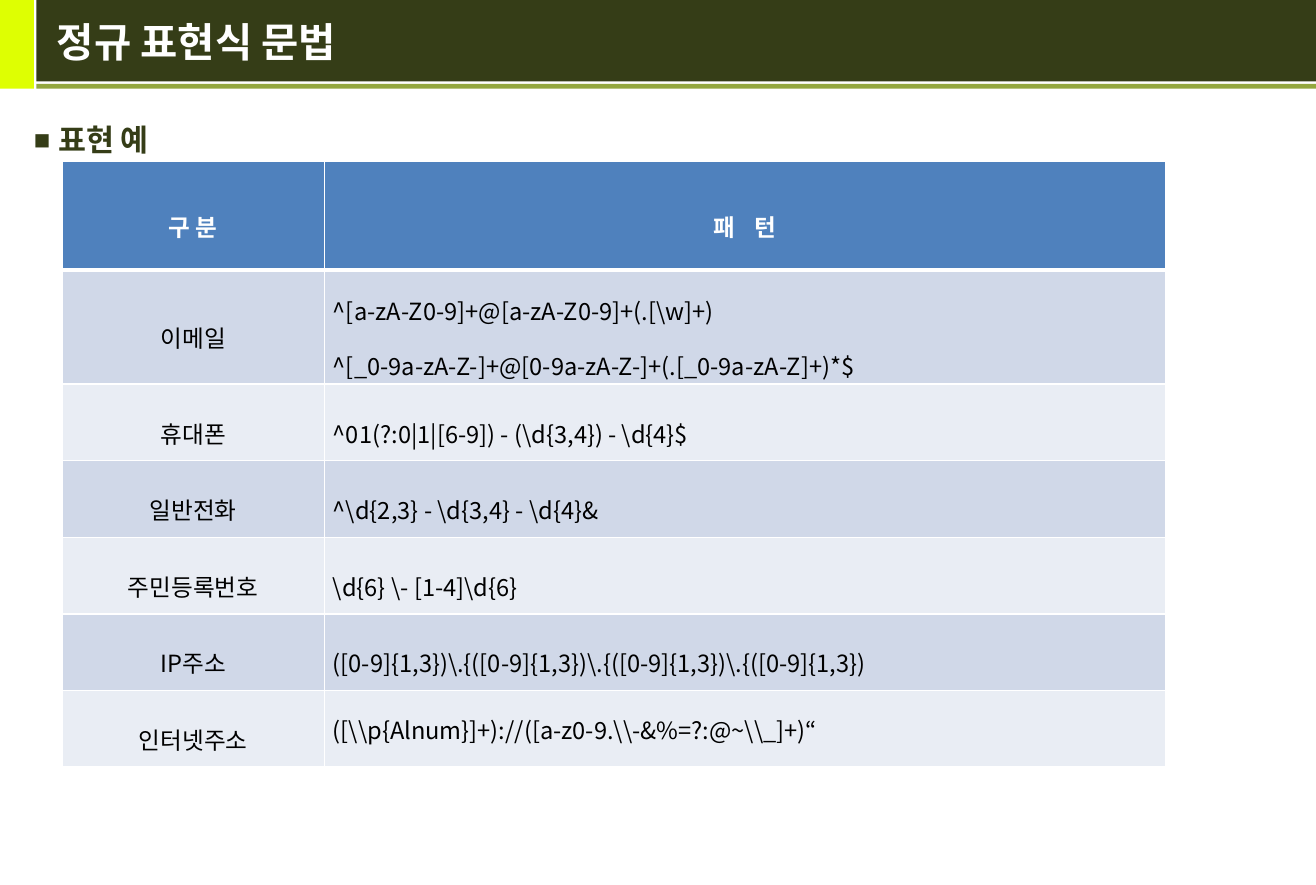
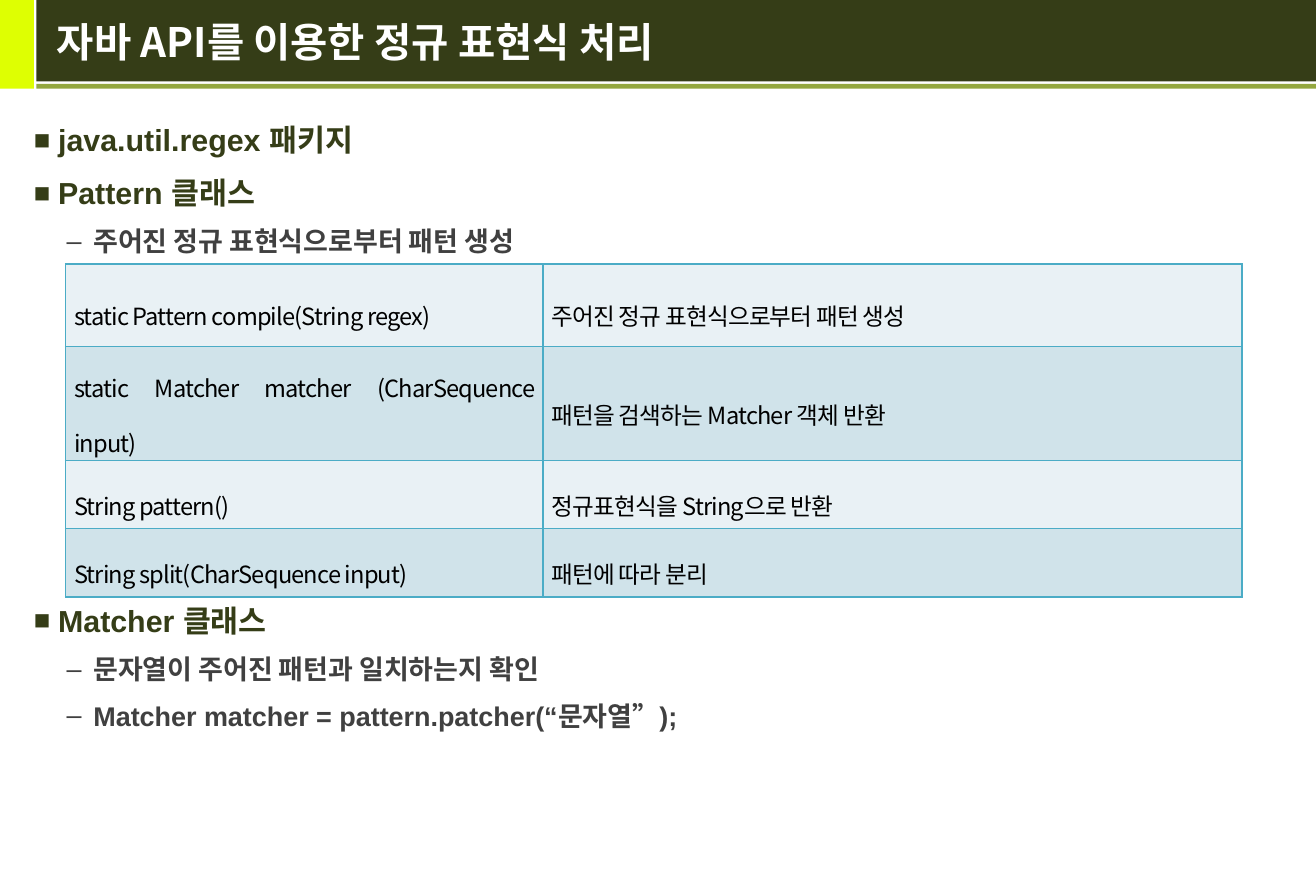
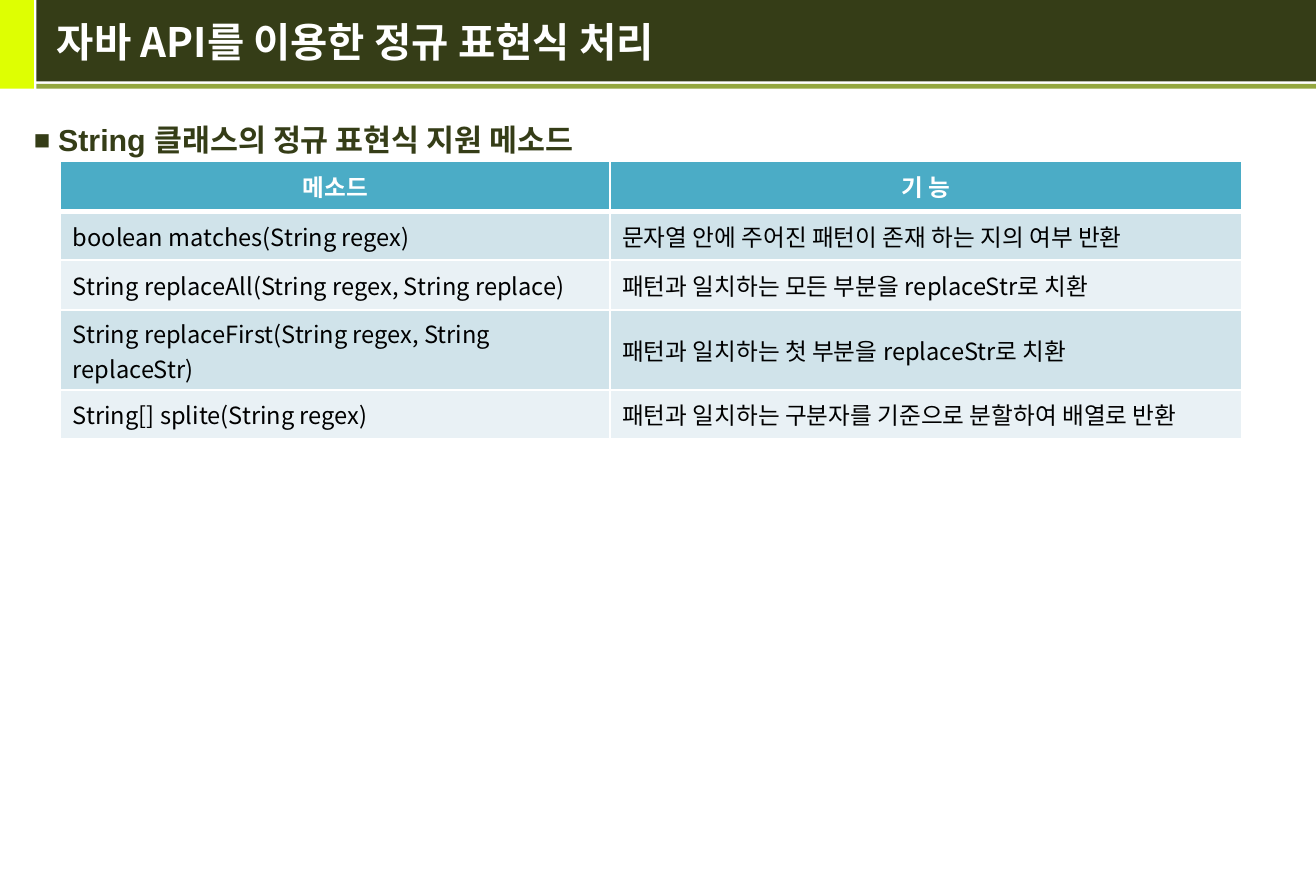
from dataclasses import dataclass
from typing import Any

from lxml.etree import SubElement
from pptx import Presentation
from pptx.dml.color import RGBColor
from pptx.enum.shapes import MSO_SHAPE as Preset
from pptx.enum.text import MSO_ANCHOR as Anchor, PP_ALIGN as Align
from pptx.oxml.ns import qn
from pptx.util import Inches, Pt


# Theme: colours, fonts and type sizes
@dataclass(frozen=True)
class Theme:
    lime: str = "DEFF02"
    olive: str = "353D17"
    moss: str = "93A73F"
    gray: str = "404040"
    white: str = "FFFFFF"
    black: str = "000000"
    blue: str = "4F81BD"
    blue_bands: tuple[str, str] = ("D0D8E8", "E9EDF4")
    teal: str = "4BACC6"
    teal_bands: tuple[str, str] = ("D0E3EA", "E9F1F5")
    korean_font: str = "Noto Sans CJK KR"
    body_font: str = "Arial"
    title_size: int = 24
    topic_size: int = 18
    detail_size: int = 16
    cell_size: int = 14


THEME = Theme()


@dataclass(frozen=True)
class Box:
    left: float
    top: float
    width: float
    height: float

    def emu(self) -> tuple[int, ...]:
        return tuple(Inches(v) for v in (self.left, self.top, self.width, self.height))


@dataclass(frozen=True)
class TextStyle:
    size: int
    color: str
    font: str = THEME.korean_font
    bold: bool = False
    tracking: float = 0


@dataclass(frozen=True)
class BulletStyle:
    text: TextStyle
    mark: str
    mark_size: int
    margin: float
    hanging: float
    space_before: float


@dataclass(frozen=True)
class Bullet:
    text: str
    style: BulletStyle
    space_before: float | None = None


@dataclass(frozen=True)
class Cell:
    text: str
    tracking: float = 0
    line_spacing: float | None = None


@dataclass(frozen=True)
class TableSpec:
    left: float
    top: float
    columns: tuple[float, ...]
    heights: tuple[float, ...]
    rows: tuple[tuple[str | Cell, ...], ...]
    bands: tuple[str, str]
    border: str
    header: str | None = None
    aligns: tuple[Any, ...] = (Align.JUSTIFY, Align.JUSTIFY)
    insets: tuple[float, float] = (0.07, 0.02)
    line_spacing: float = 1.6
    tracking: float = 0


@dataclass(frozen=True)
class SlideSpec:
    title: str
    bullets: tuple[Bullet, ...]
    table: TableSpec


TITLE = TextStyle(THEME.title_size, THEME.white, bold=True)
TOPIC = BulletStyle(TextStyle(THEME.topic_size, THEME.olive, THEME.body_font, True),
                    "■", 90, 0.2, 0.2, 5.4)
DETAIL = BulletStyle(TextStyle(THEME.detail_size, THEME.gray, THEME.body_font, True),
                     "–", 100, 0.49, 0.22, 4.5)

TITLE_BOX = Box(0.37, 0, 10.32, 0.68)
BODY_BOX = Box(0.18, 0.89, 10.35, 6.22)
BANDS = (
    (Box(0, 0, 0.28, 0.73), THEME.lime),
    (Box(0.3, 0, 10.54, 0.67), THEME.olive),
    (Box(0.3, 0.69, 10.54, 0.04), THEME.moss),
)


# Text helpers
def set_attributes(target: Any, values: dict[str, Any]) -> None:
    for name, value in values.items():
        setattr(target, name, value)


def add_run(paragraph: Any, text: str, style: TextStyle) -> None:
    run = paragraph.add_run()
    run.text = text
    set_attributes(run.font, {"size": Pt(style.size), "bold": style.bold, "name": style.font})
    run.font.color.rgb = RGBColor.from_string(style.color)
    properties = run.font._element
    properties.set("kern", "0")
    if style.tracking:
        properties.set("spc", str(round(style.tracking * 100)))
    SubElement(properties, qn("a:ea"), typeface=THEME.korean_font)


def add_text_frame(slide: Any, box: Box, anchor: Any) -> Any:
    frame = slide.shapes.add_textbox(*box.emu()).text_frame
    set_attributes(frame, {"word_wrap": True, "vertical_anchor": anchor})
    return frame


def add_bullet_mark(paragraph: Any, style: BulletStyle) -> None:
    properties = paragraph._p.get_or_add_pPr()
    properties.set("marL", str(Inches(style.margin)))
    properties.set("indent", str(-Inches(style.hanging)))
    color = SubElement(properties, qn("a:buClr"))
    SubElement(color, qn("a:srgbClr"), val=style.text.color)
    SubElement(properties, qn("a:buSzPct"), val=str(style.mark_size * 1000))
    SubElement(properties, qn("a:buFont"), typeface=THEME.body_font)
    SubElement(properties, qn("a:buChar"), char=style.mark)


# Slide parts
def draw_bands(slide: Any) -> None:
    for box, color in BANDS:
        shape = slide.shapes.add_shape(Preset.RECTANGLE, *box.emu())
        shape.shadow.inherit = False
        shape.fill.solid()
        shape.fill.fore_color.rgb = RGBColor.from_string(color)
        shape.line.fill.background()


def draw_title(slide: Any, title: str) -> None:
    frame = add_text_frame(slide, TITLE_BOX, Anchor.MIDDLE)
    add_run(frame.paragraphs[0], title, TITLE)


def draw_bullets(slide: Any, bullets: tuple[Bullet, ...]) -> None:
    frame = add_text_frame(slide, BODY_BOX, Anchor.TOP)
    for index, bullet in enumerate(bullets):
        paragraph = frame.add_paragraph() if index else frame.paragraphs[0]
        gap = (bullet.space_before or bullet.style.space_before) if index else 0
        set_attributes(paragraph, {"line_spacing": 1.2, "space_before": Pt(gap)})
        add_bullet_mark(paragraph, bullet.style)
        add_run(paragraph, bullet.text, bullet.style.text)


def set_borders(cell: Any, color: str, top: int, bottom: int) -> None:
    properties = cell._tc.get_or_add_tcPr()
    for side, width in {"L": 1, "R": 1, "T": top, "B": bottom}.items():
        line = SubElement(properties, qn(f"a:ln{side}"), w=str(Pt(width)))
        fill = SubElement(line, qn("a:solidFill"))
        SubElement(fill, qn("a:srgbClr"), val=color)


def fill_cell(cell: Any, content: Cell, spec: TableSpec, row: int, column: int) -> None:
    has_header = spec.header is not None
    is_header = has_header and row == 0
    color = spec.header if is_header else spec.bands[(row - has_header) % 2]
    set_borders(cell, spec.border,
                top=3 if has_header and row == 1 else 1,
                bottom=3 if is_header else 1)
    cell.fill.solid()
    cell.fill.fore_color.rgb = RGBColor.from_string(color)

    across, down = (Inches(inset) for inset in spec.insets)
    set_attributes(cell, {"margin_left": across, "margin_right": across,
                          "margin_top": down, "margin_bottom": down,
                          "vertical_anchor": Anchor.MIDDLE})
    style = TextStyle(THEME.cell_size, THEME.white if is_header else THEME.black,
                      bold=is_header, tracking=content.tracking or spec.tracking)
    frame = cell.text_frame
    for index, text in enumerate(content.text.split("\n")):
        paragraph = frame.add_paragraph() if index else frame.paragraphs[0]
        set_attributes(paragraph, {
            "alignment": Align.CENTER if is_header else spec.aligns[column],
            "line_spacing": content.line_spacing or spec.line_spacing})
        add_run(paragraph, text, style)


def draw_table(slide: Any, spec: TableSpec) -> None:
    box = Box(spec.left, spec.top, sum(spec.columns), sum(spec.heights))
    table = slide.shapes.add_table(len(spec.rows), len(spec.columns), *box.emu()).table
    set_attributes(table, {"first_row": spec.header is not None, "horz_banding": False})
    for column, width in zip(table.columns, spec.columns):
        column.width = Inches(width)
    for row, height in zip(table.rows, spec.heights):
        row.height = Inches(height)
    for row, contents in enumerate(spec.rows):
        for column, content in enumerate(contents):
            content = Cell(content) if isinstance(content, str) else content
            fill_cell(table.cell(row, column), content, spec, row, column)


# Slide contents
API_TITLE = "자바 API를 이용한 정규 표현식 처리"

PATTERN_EXAMPLES = TableSpec(
    left=0.51, top=1.33, columns=(2.16, 6.92), heights=(0.89, 0.94) + (0.63,) * 5,
    header=THEME.blue, bands=THEME.blue_bands, border=THEME.white,
    aligns=(Align.CENTER, Align.JUSTIFY),
    rows=(
        ("구 분", Cell("패 턴", tracking=4)),
        ("이메일", "^[a-zA-Z0-9]+@[a-zA-Z0-9]+(.[\\w]+)\n"
                "^[_0-9a-zA-Z-]+@[0-9a-zA-Z-]+(.[_0-9a-zA-Z]+)*$"),
        ("휴대폰", r"^01(?:0|1|[6-9]) - (\d{3,4}) - \d{4}$"),
        ("일반전화", r"^\d{2,3} - \d{3,4} - \d{4}&"),
        ("주민등록번호", r"\d{6} \- [1-4]\d{6}"),
        ("IP주소", r"([0-9]{1,3})\.{([0-9]{1,3})\.{([0-9]{1,3})\.{([0-9]{1,3})"),
        ("인터넷주소", Cell(r"([\\p{Alnum}]+)://([a-z0-9.\\-&%=?:@~\\_]+)“",
                       line_spacing=1.0)),
    ),
)

PATTERN_METHODS = TableSpec(
    left=0.54, top=2.17, columns=(3.93, 5.75), heights=(0.68, 0.94, 0.56, 0.56),
    bands=THEME.teal_bands[::-1], border=THEME.teal, tracking=-0.5,
    rows=(
        ("static Pattern compile(String regex)", "주어진 정규 표현식으로부터 패턴 생성"),
        ("static Matcher matcher (CharSequence input)", "패턴을 검색하는 Matcher 객체 반환"),
        ("String pattern()", "정규표현식을 String으로 반환"),
        ("String split(CharSequence input)", "패턴에 따라 분리"),
    ),
)

STRING_METHODS = TableSpec(
    left=0.5, top=1.33, columns=(4.52, 5.2), heights=(0.41, 0.4, 0.41, 0.66, 0.4),
    header=THEME.teal, bands=THEME.teal_bands, border=THEME.white,
    aligns=(Align.LEFT, Align.LEFT), insets=(0.1, 0.05), line_spacing=1.0,
    rows=(
        ("메소드", "기 능"),
        ("boolean matches(String regex)", "문자열 안에 주어진 패턴이 존재 하는 지의 여부 반환"),
        ("String replaceAll(String regex, String replace)",
         "패턴과 일치하는 모든 부분을 replaceStr로 치환"),
        ("String replaceFirst(String regex, String replaceStr)",
         "패턴과 일치하는 첫 부분을 replaceStr로 치환"),
        ("String[] splite(String regex)", "패턴과 일치하는 구분자를 기준으로 분할하여 배열로 반환"),
    ),
)

SLIDES = (
    SlideSpec("정규 표현식 문법", (Bullet("표현 예", TOPIC),), PATTERN_EXAMPLES),
    SlideSpec(API_TITLE, (
        Bullet("java.util.regex 패키지", TOPIC),
        Bullet("Pattern 클래스", TOPIC),
        Bullet("주어진 정규 표현식으로부터 패턴 생성", DETAIL),
        Bullet("Matcher 클래스", TOPIC, space_before=200),
        Bullet("문자열이 주어진 패턴과 일치하는지 확인", DETAIL),
        Bullet("Matcher matcher = pattern.patcher(“문자열”);", DETAIL),
    ), PATTERN_METHODS),
    SlideSpec(API_TITLE, (Bullet("String 클래스의 정규 표현식 지원 메소드", TOPIC),),
              STRING_METHODS),
)


# Build the presentation
def main() -> None:
    presentation = Presentation()
    set_attributes(presentation, {"slide_width": Inches(10.83),
                                  "slide_height": Inches(7.28)})
    for spec in SLIDES:
        slide = presentation.slides.add_slide(presentation.slide_layouts[6])
        draw_bands(slide)
        draw_bullets(slide, spec.bullets)
        draw_title(slide, spec.title)
        draw_table(slide, spec.table)
    presentation.save("out.pptx")


main()
